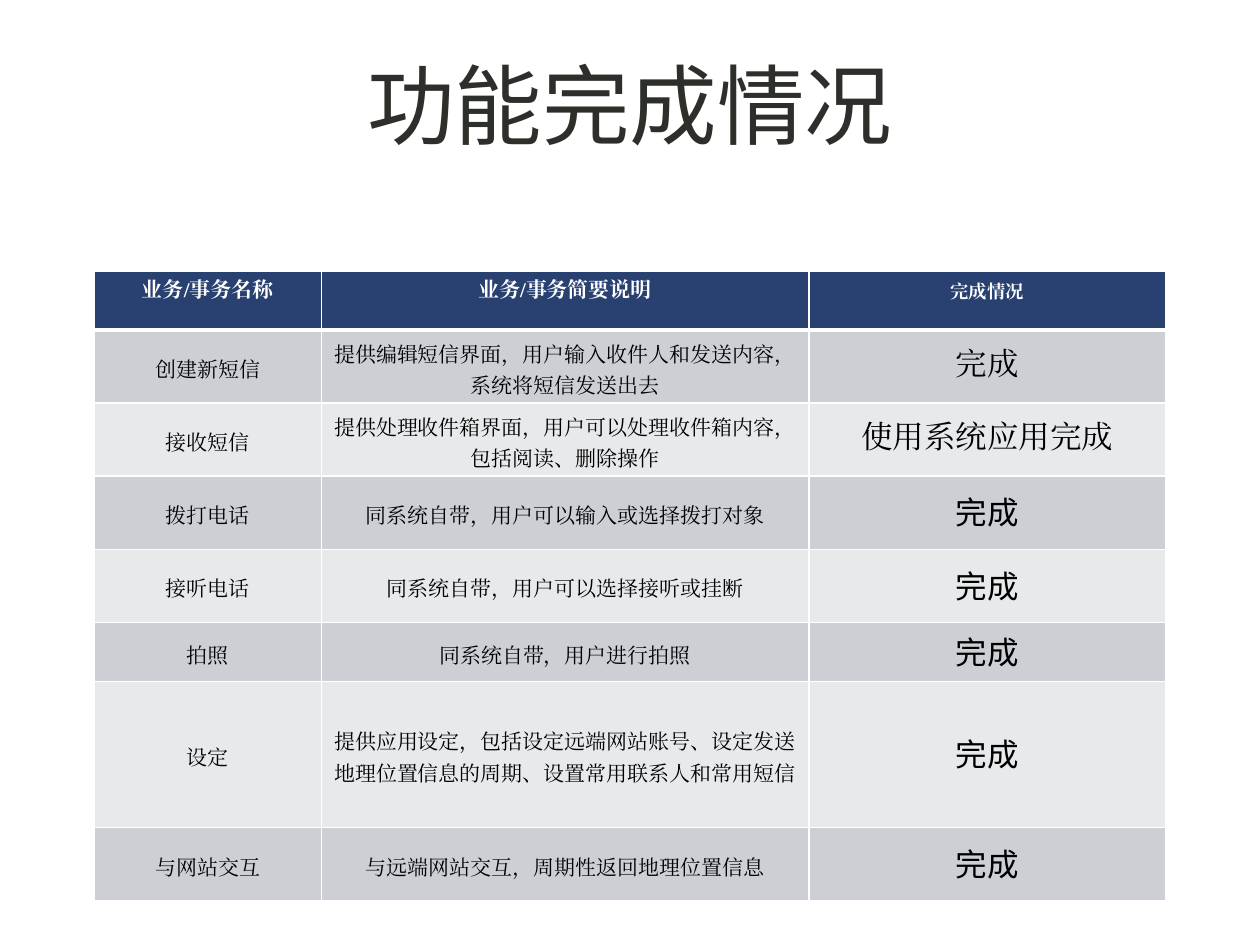
import pptx
import pptx.dml.color
import pptx.enum.text
import pptx.util
from lxml import etree
from pptx.oxml.ns import qn
from pptx.util import Inches

RGBColor = pptx.dml.color.RGBColor
WHITE = RGBColor(0xFF, 0xFF, 0xFF)
BLACK = RGBColor(0x00, 0x00, 0x00)
TITLE = RGBColor(0x2D, 0x2F, 0x2B)
NAVY = RGBColor(0x29, 0x41, 0x71)
BAND_DARK = RGBColor(0xCD, 0xCF, 0xD5)
BAND_LIGHT = RGBColor(0xE8, 0xE9, 0xEB)

HEADING_FONT = "Lato"
BODY_FONT = "Times New Roman"
CENTER = pptx.enum.text.PP_ALIGN.CENTER
TOP = pptx.enum.text.MSO_ANCHOR.TOP
MIDDLE = pptx.enum.text.MSO_ANCHOR.MIDDLE

COL_WIDTHS = [1.8, 3.87, 2.83]
ROW_HEIGHTS = [0.47, 0.58, 0.58, 0.58, 0.58, 0.47, 1.16, 0.58]
ROWS = [
    ("业务/事务名称", "业务/事务简要说明", "完成情况"),
    ("创建新短信", "提供编辑短信界面，用户输入收件人和发送内容，系统将短信发送出去", "完成"),
    ("接收短信", "提供处理收件箱界面，用户可以处理收件箱内容，包括阅读、删除操作", "使用系统应用完成"),
    ("拨打电话", "同系统自带，用户可以输入或选择拨打对象", "完成"),
    ("接听电话", "同系统自带，用户可以选择接听或挂断", "完成"),
    ("拍照", "同系统自带，用户进行拍照", "完成"),
    ("设定", "提供应用设定，包括设定远端网站账号、设定发送地理位置信息的周期、设置常用联系人和常用短信", "完成"),
    ("与网站交互", "与远端网站交互，周期性返回地理位置信息", "完成"),
]
STATUS_COL = 2
FIRST_PLAIN_STATUS_ROW = 3


def format_paragraph(p, font, size, color, bold=False):
    p.alignment = CENTER
    for r in p.runs:
        r.font.size = pptx.util.Pt(size)
        r.font.bold = bold
        r.font.color.rgb = color
        r.font.name = font
        for tag in ("a:ea", "a:cs"):
            etree.SubElement(r.font._element, qn(tag), typeface=font)


def set_borders(cell, bottom_width):
    tc_pr = cell._tc.get_or_add_tcPr()
    for side, width in (("L", 1), ("R", 1), ("T", 1), ("B", bottom_width)):
        ln = etree.SubElement(tc_pr, qn(f"a:ln{side}"), w=str(pptx.util.Pt(width)))
        fill = etree.SubElement(ln, qn("a:solidFill"))
        etree.SubElement(fill, qn("a:srgbClr"), val=str(WHITE))


def place_title(s, left, top, width, height):
    sp = s.shapes.title
    sp.left, sp.top, sp.width, sp.height = left, top, width, height
    tf = sp.text_frame
    tf.text = "功能完成情况"
    tf.vertical_anchor = MIDDLE
    format_paragraph(tf.paragraphs[0], HEADING_FONT, 50, TITLE)


def fill_cell(cell, row, col, text):
    header = row == 0
    status = col == STATUS_COL
    plain = status and row >= FIRST_PLAIN_STATUS_ROW
    if header:
        size, color, fill = (10.5 if status else 12), WHITE, NAVY
    else:
        size, color = (18 if status else 12), BLACK
        fill = BAND_DARK if row % 2 else BAND_LIGHT

    set_borders(cell, 3 if header else 1)
    cell.fill.solid()
    cell.fill.fore_color.rgb = fill
    cell.margin_left = cell.margin_right = Inches(0.07)
    cell.margin_top = cell.margin_bottom = 0
    cell.vertical_anchor = TOP if header else MIDDLE
    p = cell.text_frame.paragraphs[0]
    p.text = text
    if not plain:
        p.line_spacing = pptx.util.Pt(18)
    format_paragraph(p, HEADING_FONT if plain else BODY_FONT, size, color, header)


def place_status_table(s, left, top, width, height):
    table = s.shapes.add_table(len(ROWS), len(COL_WIDTHS), left, top, width, height).table
    for column, col_width in zip(table.columns, COL_WIDTHS):
        column.width = Inches(col_width)
    for table_row, row_height in zip(table.rows, ROW_HEIGHTS):
        table_row.height = Inches(row_height)
    for row, texts in enumerate(ROWS):
        for col, text in enumerate(texts):
            fill_cell(table.cell(row, col), row, col, text)


def main():
    prs = pptx.Presentation()
    prs.slide_width, prs.slide_height = Inches(10), Inches(7.5)
    s = prs.slides.add_slide(prs.slide_layouts[5])
    place_title(s, Inches(0.75), Inches(0.07), Inches(8.5), Inches(1.5))
    place_status_table(s, Inches(0.75), Inches(2.15), Inches(8.5), Inches(5))
    prs.save("out.pptx")


if __name__ == "__main__":
    main()
